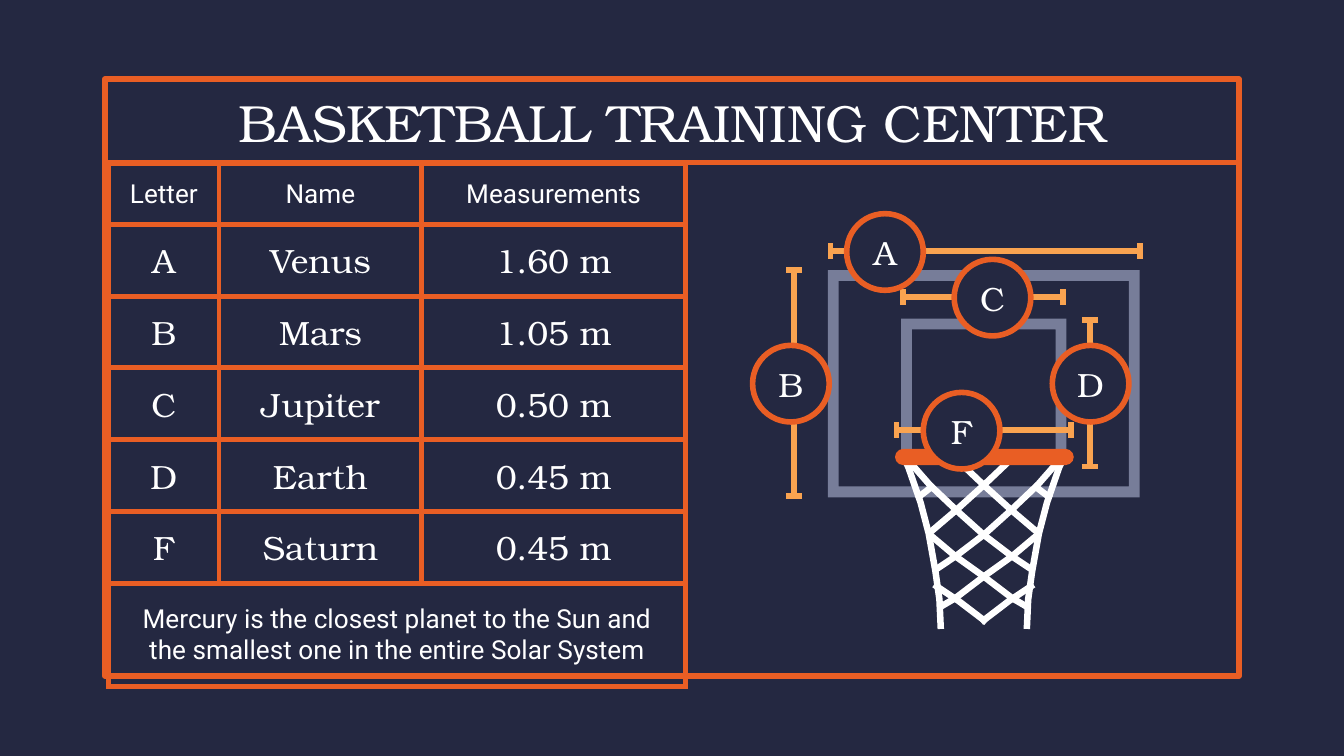
"""Build the basketball training center slide: measurement table and labelled hoop."""
from lxml import etree
from pptx import Presentation
from pptx import util as u
from pptx.dml.color import RGBColor
from pptx.enum import shapes, text
from pptx.oxml import ns

NAVY = RGBColor(0x24, 0x28, 0x41)
ORANGE = RGBColor(0xE9, 0x5E, 0x24)
AMBER = RGBColor(0xF9, 0xA3, 0x50)
SLATE = RGBColor(0x77, 0x7D, 0x99)
WHITE = RGBColor(0xFF, 0xFF, 0xFF)
SERIF, SANS = "TeX Gyre Bonum", "Roboto"

deck = Presentation()
deck.slide_width, deck.slide_height = u.Inches(10), u.Inches(5.625)
COLUMN = deck.slide_width // 10
page = deck.slides.add_slide(deck.slide_layouts[5])
page.background.fill.solid()
page.background.fill.fore_color.rgb = NAVY


def write(frame, words, size, font, sides=0.1):
    frame.word_wrap = True
    frame.vertical_anchor = text.MSO_ANCHOR.MIDDLE
    frame.margin_left = frame.margin_right = int(sides * COLUMN)
    frame.margin_top = frame.margin_bottom = int(0.1 * COLUMN)
    para = frame.paragraphs[0]
    para.alignment = text.PP_ALIGN.CENTER
    span = para.add_run()
    span.text = words
    span.font.size, span.font.name, span.font.bold = u.Pt(size), font, False
    span.font.color.rgb = WHITE


def add_line(start, end, color):
    ends = [int(value * COLUMN) for value in (*start, *end)]
    line = page.shapes.add_connector(shapes.MSO_CONNECTOR.STRAIGHT, *ends)
    line.line.color.rgb, line.line.width = color, u.Pt(3)
    etree.SubElement(line._element.spPr, ns.qn("a:effectLst"))


LEFT, TOP, WIDTH, HEIGHT, TITLE_HEIGHT = 0.78, 0.59, 8.44, 4.44, 0.63
title = page.shapes.title
title.left, title.top, title.width, title.height = [
    int(value * COLUMN) for value in (LEFT, TOP, WIDTH, TITLE_HEIGHT)]
write(title.text_frame, "BASKETBALL TRAINING CENTER", 28, SERIF)

KIND = shapes.MSO_SHAPE
border = page.shapes.add_shape(
    KIND.RECTANGLE, *[int(value * COLUMN) for value in (LEFT, TOP, WIDTH, HEIGHT)])
border.shadow.inherit = False
border.fill.background()
border.line.color.rgb, border.line.width = ORANGE, u.Pt(3)
add_line((0.8, 1.21), (9.2, 1.21), ORANGE)

CENTER = 7.32
for width, top, height in [(2.32, 2.01, 1.69), (1.23, 2.37, 1.08)]:
    board = page.shapes.add_shape(
        KIND.FRAME, *[int(value * COLUMN) for value in (CENTER - width / 2, top, width, height)])
    board.shadow.inherit = False
    board.adjustments[0] = 0.08 / height
    board.fill.solid()
    board.fill.fore_color.rgb = SLATE
    board.line.fill.background()

strands = [
    [(6.71, 3.37), (6.76, 3.48), (6.85, 3.74), (6.91, 3.97), (6.96, 4.25), (6.99, 4.46), (7, 4.68)],
    [(6.71, 3.37), (6.92, 3.61), (7.12, 3.8), (7.32, 3.98), (7.53, 4.14), (7.68, 4.24)],
    [(7.12, 3.42), (7.32, 3.61), (7.53, 3.8), (7.73, 3.97)],
    [(6.82, 3.71), (6.95, 3.61)],
    [(6.92, 3.98), (7.11, 4.14), (7.32, 4.29), (7.53, 4.45), (7.65, 4.52)],
    [(6.95, 4.35), (7.13, 4.47), (7.34, 4.63)],
]
for strand in strands:
    for side in (1, -1):
        points = [(int((CENTER + side * (x - CENTER)) * COLUMN), int(y * COLUMN))
                  for x, y in strand]
        builder = page.shapes.build_freeform(*points[0])
        builder.add_line_segments(points[1:], close=False)
        cord = builder.convert_to_shape()
        cord.shadow.inherit = False
        cord.fill.background()
        cord.line.color.rgb, cord.line.width = WHITE, u.Pt(3.5)

rim = page.shapes.add_shape(
    KIND.ROUNDED_RECTANGLE, *[int(value * COLUMN) for value in (6.66, 3.34, 1.33, 0.12)])
rim.shadow.inherit = False
rim.adjustments[0] = 0.5
rim.fill.solid()
rim.fill.fore_color.rgb = ORANGE
rim.line.fill.background()

CAP = 0.06
for first, last, y in [(6.18, 8.48, 1.87), (6.72, 7.91, 2.21), (6.67, 7.97, 3.2)]:
    add_line((first, y), (last, y), AMBER)
    for x in (first, last):
        add_line((x, y - CAP), (x, y + CAP), AMBER)
for first, last, x in [(2.01, 3.69, 5.91), (2.38, 3.47, 8.11)]:
    add_line((x, first), (x, last), AMBER)
    for y in (first, last):
        add_line((x - CAP, y), (x + CAP, y), AMBER)

BADGE = 0.57
for letter, x, y in [("A", 6.3, 1.59), ("B", 5.6, 2.57), ("C", 7.1, 1.93),
                     ("D", 7.83, 2.57), ("F", 6.87, 2.92)]:
    badge = page.shapes.add_shape(
        KIND.OVAL, *[int(value * COLUMN) for value in (x, y, BADGE, BADGE)])
    badge.shadow.inherit = False
    badge.fill.solid()
    badge.fill.fore_color.rgb = NAVY
    badge.line.color.rgb, badge.line.width = ORANGE, u.Pt(3)
    write(badge.text_frame, letter, 18, SERIF, sides=0)

rows = [
    ("Letter", "Name", "Measurements"),
    ("A", "Venus", "1.60 m"),
    ("B", "Mars", "1.05 m"),
    ("C", "Jupiter", "0.50 m"),
    ("D", "Earth", "0.45 m"),
    ("F", "Saturn", "0.45 m"),
    ("Mercury is the closest planet to the Sun and the smallest one in the entire Solar System",),
]
widths = [0.82, 1.51, 1.96]
heights = [0.45] + [0.53] * 5 + [0.77]
grid = page.shapes.add_table(
    len(rows), len(widths),
    *[int(value * COLUMN) for value in (0.81, 1.22, sum(widths), sum(heights))]).table
grid.first_row = grid.horz_banding = False
for column, width in zip(grid.columns, widths):
    column.width = int(width * COLUMN)
for row, height in zip(grid.rows, heights):
    row.height = int(height * COLUMN)
grid.cell(6, 0).merge(grid.cell(6, 2))

for cell in grid.iter_cells():
    properties = cell._tc.get_or_add_tcPr()
    for side in ("lnL", "lnR", "lnT", "lnB"):
        edge = etree.SubElement(properties, ns.qn(f"a:{side}"), w=str(u.Pt(3)))
        paint = etree.SubElement(edge, ns.qn("a:solidFill"))
        etree.SubElement(paint, ns.qn("a:srgbClr"), val=str(ORANGE))
    cell.fill.background()

for row_number, row in enumerate(rows):
    size, font = (14, SANS) if row_number in (0, 6) else (18, SERIF)
    for column_number, words in enumerate(row):
        cell = grid.cell(row_number, column_number)
        write(cell.text_frame, words, size, font)
        cell.vertical_anchor = text.MSO_ANCHOR.MIDDLE
        cell.margin_left = cell.margin_right = int(0.1 * COLUMN)
        cell.margin_top = cell.margin_bottom = int(0.1 * COLUMN)

deck.save("out.pptx")
